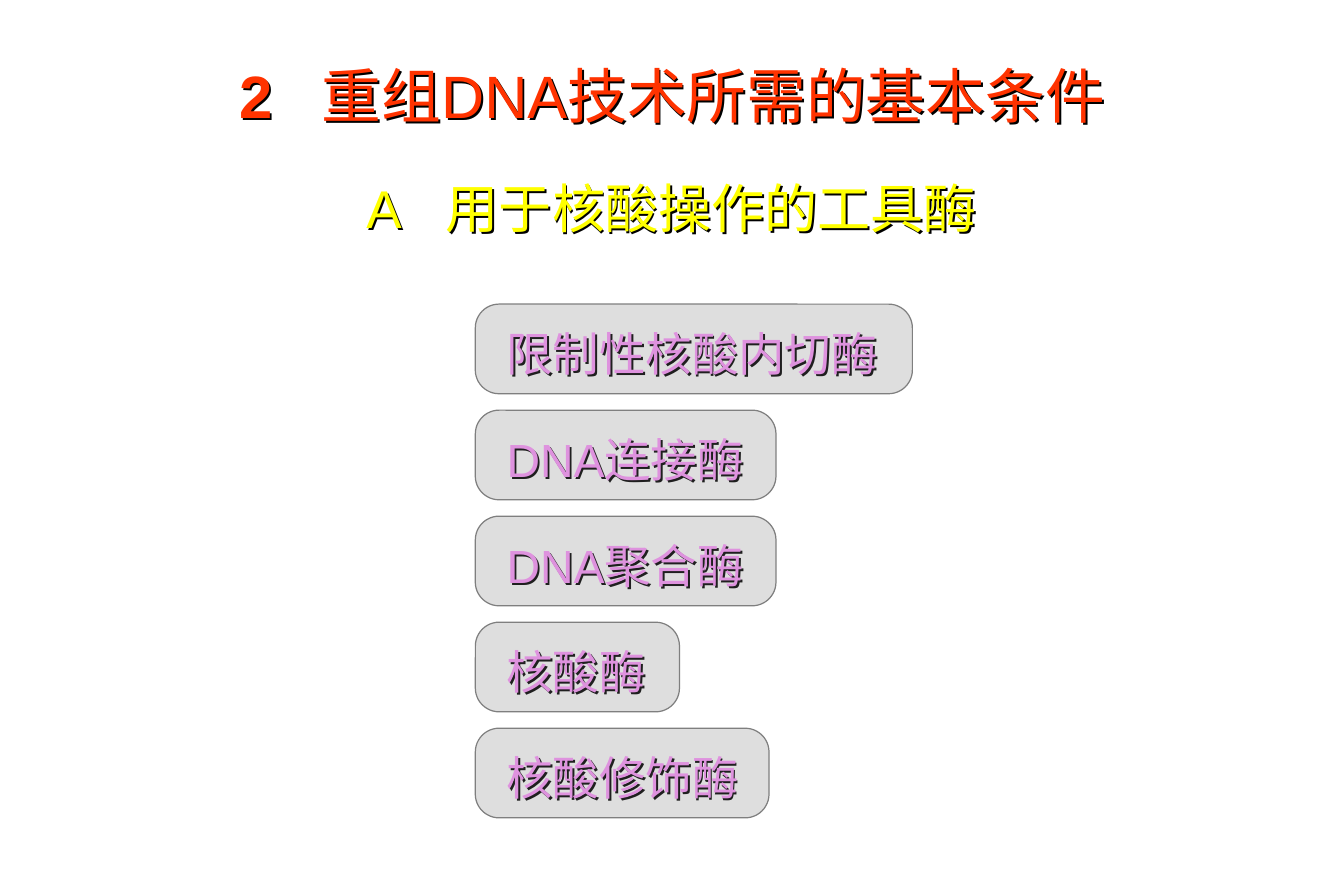
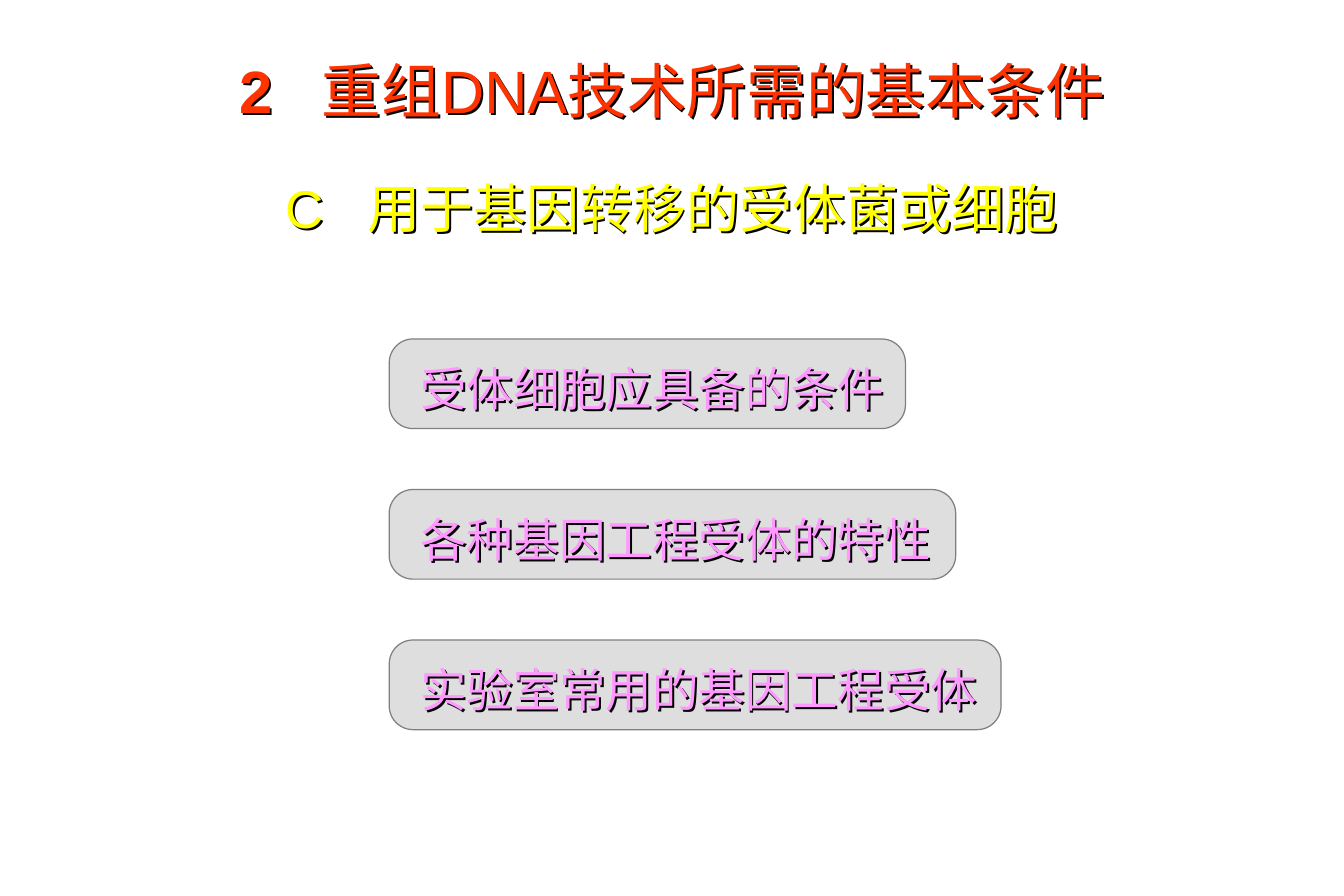
from lxml import etree
from pptx import Presentation
from pptx.dml.color import RGBColor
from pptx.enum.shapes import MSO_SHAPE
from pptx.enum.text import MSO_ANCHOR, PP_ALIGN
from pptx.oxml.ns import qn
from pptx.util import Inches, Pt

PILL = MSO_SHAPE.ROUNDED_RECTANGLE
TOP = MSO_ANCHOR.TOP
LEFT, MID = PP_ALIGN.LEFT, PP_ALIGN.CENTER

COLS, ROWS = 135, 90
UNIT = Inches(11.25) / COLS
RED, GOLD, PINK, GREY, BLACK = "FF3300", "FFFF00", "FF99FF", "7F7F7F", "000000"
SANS, SERIF = "Arial", "Times New Roman"
TALL = 9
HEAD = "重组DNA技术所需的基本条件"
GAP = (" ", SANS, False)

DECK = [
    {
        "title": 5.3, "mark": "A", "topic": "用于核酸操作的工具酶",
        "box": (47.75, 30.55), "step": 10.65, "over": True,
        "items": [
            ("限制性核酸内切酶", 43.9, 42.5),
            ("DNA连接酶", 30.2, 37),
            ("DNA聚合酶", 30.2, 37),
            ("核酸酶", 20.5, 37),
            ("核酸修饰酶", 29.5, 37),
        ],
    },
    {
        "title": 4.8, "mark": "C", "topic": "用于基因转移的受体菌或细胞",
        "box": (39.1, 34.05), "step": 15.12, "over": False,
        "items": [
            ("受体细胞应具备的条件", 51.85, 50),
            ("各种基因工程受体的特性", 56.9, 55),
            ("实验室常用的基因工程受体", 61.45, 61),
        ],
    },
]


def tint(code):
    """Return the colour for a hex string."""
    return RGBColor.from_string(code)


def grid(*cells):
    """Turn grid cells into slide lengths."""
    return [round(cell * UNIT) for cell in cells]


def apply(item, style):
    """Set attributes from a dict of format values."""
    for key, value in style.items():
        setattr(item, key, value)


def shade(shape):
    """Give the text of an unfilled box a small black shadow."""
    shape.fill.background()
    glow = etree.SubElement(shape._element.spPr, qn("a:effectLst"))
    cast = etree.SubElement(glow, qn("a:outerShdw"), dist="20000", dir="2700000",
                            algn="ctr", rotWithShape="0")
    etree.SubElement(cast, qn("a:srgbClr"), val=BLACK)


def write(slide, box, runs, size, color, style):
    """Place one shadowed line of text in a box."""
    shape = slide.shapes.add_textbox(*grid(*box))
    shade(shape)
    frame = shape.text_frame
    apply(frame, {"word_wrap": True, "vertical_anchor": TOP})
    para = frame.paragraphs[0]
    apply(para, style)
    for text, face, bold in runs:
        run = para.add_run()
        run.text = text
        apply(run.font, {"size": Pt(size), "name": face, "bold": bold})
        run.font.color.rgb = tint(color)
        if text == " ":
            run.font._element.set("spc", str(round(size * 55)))


def pill(slide, box):
    """Draw a sheer grey rounded bar."""
    shape = slide.shapes.add_shape(PILL, *grid(*box))
    shape.shadow.inherit = False
    shape.adjustments[0] = 0.265
    shape.fill.solid()
    shape.fill.fore_color.rgb = tint(GREY)
    shape.line.color.rgb = tint(GREY)
    shape.line.width = Pt(0.75)
    color = shape._element.spPr.find(qn("a:solidFill"))[0]
    etree.SubElement(color, qn("a:alpha"), val="25000")


def header(slide, page):
    """Write the chapter title and the topic line."""
    style = {"alignment": MID}
    write(slide, (20, 17, 95, TALL),
          [(page["mark"], SANS, False), GAP, (page["topic"], SERIF, False)],
          32, GOLD, style)
    write(slide, (12.5, page["title"], 110, TALL),
          [("2", SANS, True), GAP, (HEAD, SANS, False)], 36, RED, style)


def menu(slide, page):
    """Stack the labels and their bars at an even step."""
    left, top = page["box"]

    def bars():
        """Draw every bar."""
        for row, (_, wide, _) in enumerate(page["items"]):
            pill(slide, (left, top + row * page["step"], wide, TALL))

    def labels():
        """Write every label."""
        for row, (text, _, wide) in enumerate(page["items"]):
            box = (left + 1.95, top - 0.7 + row * page["step"], wide, 9.2)
            write(slide, box, [(text, SANS, False)], 28, PINK,
                  {"alignment": LEFT, "line_spacing": 1.4})

    for draw in (labels, bars) if page["over"] else (bars, labels):
        draw()


def main():
    """Build and save the deck."""
    deck = Presentation()
    wide, high = grid(COLS, ROWS)
    apply(deck, {"slide_width": wide, "slide_height": high})
    for page in DECK:
        slide = deck.slides.add_slide(deck.slide_layouts[6])
        header(slide, page)
        menu(slide, page)
    deck.save("out.pptx")


if __name__ == "__main__":
    main()
